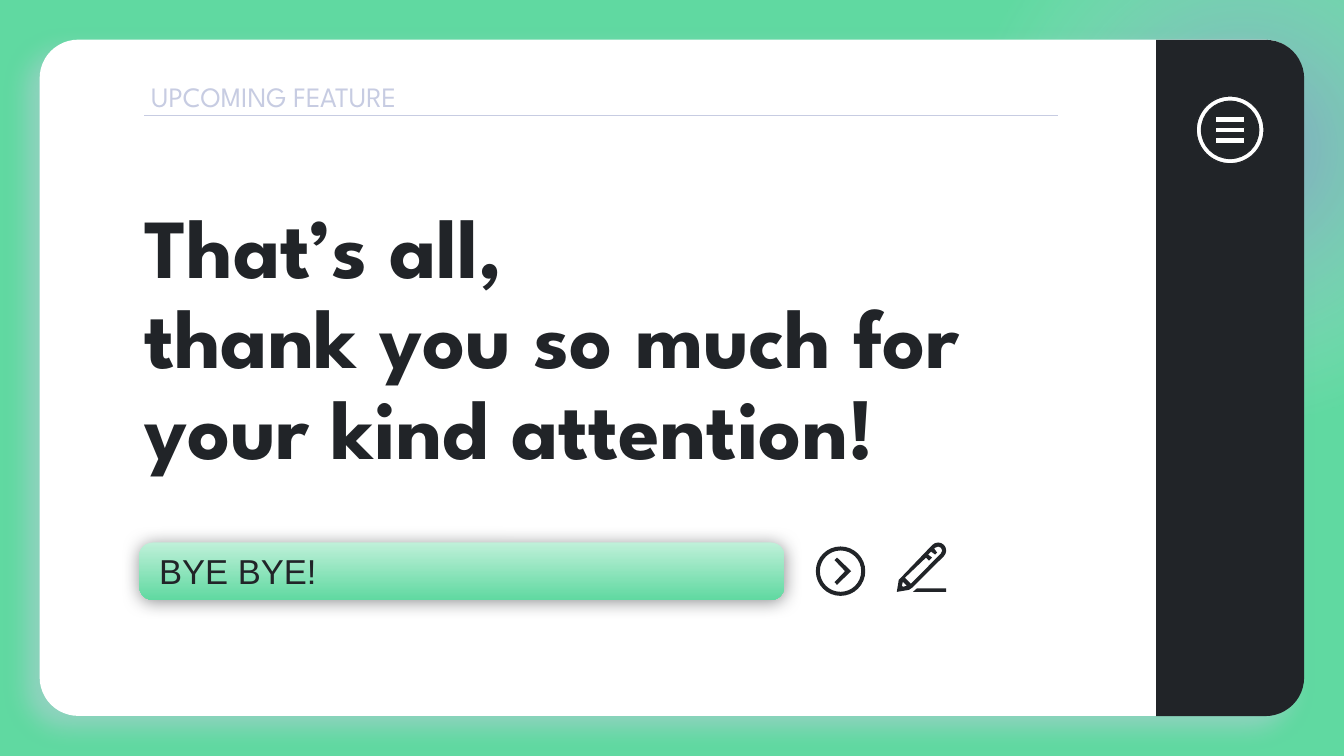
"""Build the closing slide: a white card with thanks, a farewell button and icons."""
from math import cos, radians, sin, tan

from lxml import etree
from pptx import Presentation
from pptx.dml.color import RGBColor
from pptx.enum.shapes import MSO_CONNECTOR, MSO_SHAPE
from pptx.enum.text import MSO_ANCHOR
from pptx.oxml.ns import qn
from pptx.util import Cm, Pt

OVAL, ROUNDED = MSO_SHAPE.OVAL, MSO_SHAPE.ROUNDED_RECTANGLE
TWO_ROUNDED = MSO_SHAPE.ROUND_2_SAME_RECTANGLE
STRAIGHT, TOP = MSO_CONNECTOR.STRAIGHT, MSO_ANCHOR.TOP

GREEN = RGBColor(0x60, 0xD9, 0xA1)
MINT = RGBColor(0xBF, 0xF0, 0xD9)
INK = RGBColor(0x21, 0x24, 0x28)
LAVENDER = RGBColor(0xC7, 0xCC, 0xE2)
PALE = RGBColor(0xE7, 0xE9, 0xF6)
PURPLE = RGBColor(0xA2, 0x64, 0xE3)
WHITE = RGBColor(0xFF, 0xFF, 0xFF)

HEADING, BODY = "League Spartan", "Arial"
ICON_UNIT = Cm(2.54) / 100

TEXTS = [
    {"box": (3.3, 5.18, 22.1, 7.7), "insets": (0.33, 0, 0.33, 0.33),
     "lines": ["That’s all,", "thank you so much for your kind attention!"],
     "font": HEADING, "size": 60, "color": INK, "bold": True, "spacing": 0.9},
    {"box": (3.81, 2.01, 16.99, 0.86), "insets": (0, 0, 0.33, 0),
     "lines": ["UPCOMING FEATURE"],
     "font": HEADING, "size": 20, "color": LAVENDER, "bold": False, "spacing": 1.0},
    {"box": (3.51, 13.87, 15.95, 1.07), "insets": (0.5, 0, 0.33, 0.33),
     "lines": ["BYE BYE!"],
     "font": BODY, "size": 24.7, "color": INK, "bold": False, "spacing": 1.0},
]


def arc(x, y, radius, angles=(0, 90, 180, 270, 360)):
    """Return a start point and one Bézier curve per step between the angles."""
    def spot(angle, pull=0):
        turn = radians(angle)
        return (x + radius * (cos(turn) - pull * sin(turn)),
                y + radius * (sin(turn) + pull * cos(turn)))

    segments = [[spot(angles[0])]]
    for start, end in zip(angles, angles[1:]):
        pull = 4 / 3 * tan(radians(end - start) / 4)
        segments.append([spot(start, pull), spot(end, -pull), spot(end)])
    return segments


def lines(*points):
    """Return one straight segment per point."""
    return [[point] for point in points]


def bar(left, top, right, bottom):
    """Return the corners of a rectangle."""
    return lines((left, top), (right, top), (right, bottom), (left, bottom))


CAP = (225, 270, 360, 405)
PENCIL = [
    arc(41, 8, 8, CAP) + lines((15, 45), (12, 47), (0, 49), (2, 37), (5, 34)),
    arc(41, 8, 4, CAP) + lines((14, 41), (8, 35), (29, 15), (32, 18), (35, 15),
                               (31, 12), (34, 9), (38, 12), (40, 10), (37, 6)),
    lines((6, 39), (10, 43), (6, 44), (5, 43)),
    lines((20, 45.5), (16, 49), (49, 49), (49, 45.5)),
]
NEXT = [
    arc(24.5, 24.5, 24.5), arc(24.5, 24.5, 20.5),
    lines((21, 11), (35, 24.5), (21, 38), (18.5, 35.5), (29, 24.5), (18.5, 13.5)),
]
MENU = [arc(33.5, 34, 33.5), arc(33.5, 34, 28.5)] + [
    bar(19, top, 48, top + 5.5) for top in (20.8, 31.3, 41.8)]
ICONS = [(PENCIL, 22.6, 13.67, INK, None), (NEXT, 20.56, 13.77, INK, None),
         (MENU, 30.15, 2.41, WHITE, INK)]


def add_color(parent, color, opacity):
    """Append a colour with opacity in percent."""
    element = etree.SubElement(parent, qn("a:srgbClr"), val=str(color))
    if opacity < 100:
        etree.SubElement(element, qn("a:alpha"), val=str(opacity * 1000))


def set_gradient(shape, stops, angle=None):
    """Fill with a linear gradient, or a circular one when no angle is given."""
    shape.fill.background()
    gradient = etree.Element(qn("a:gradFill"), rotWithShape="1")
    stop_list = etree.SubElement(gradient, qn("a:gsLst"))
    for position, color, opacity in stops:
        stop = etree.SubElement(stop_list, qn("a:gs"), pos=str(position * 1000))
        add_color(stop, color, opacity)
    if angle is None:
        circle = etree.SubElement(gradient, qn("a:path"), {"path": "circle"})
        center = dict.fromkeys("ltrb", "50000")
        etree.SubElement(circle, qn("a:fillToRect"), center)
    else:
        etree.SubElement(gradient, qn("a:lin"), ang=str(angle * 60000), scaled="0")
    properties = shape.element.spPr
    properties.replace(properties.find(qn("a:noFill")), gradient)


def set_shadow(shape, color, opacity, blur, distance, direction):
    """Give the shape an outer shadow."""
    effects = shape.element.spPr.find(qn("a:effectLst"))
    shadow = etree.SubElement(
        effects, qn("a:outerShdw"), blurRad=str(Pt(blur)), dist=str(Pt(distance)),
        dir=str(direction * 60000), algn="ctr", rotWithShape="0")
    add_color(shadow, color, opacity)


def add_panel(slide, kind, box, adjustments=(), color=None):
    """Add a preset shape without outline."""
    shape = slide.shapes.add_shape(kind, *map(Cm, box))
    for index, value in enumerate(adjustments):
        shape.adjustments[index] = value
    if color is not None:
        shape.fill.solid()
        shape.fill.fore_color.rgb = color
    shape.line.fill.background()
    shape.shadow.inherit = False
    return shape


def add_text(slide, text):
    """Add a text box from its description."""
    frame = slide.shapes.add_textbox(*map(Cm, text["box"])).text_frame
    frame.word_wrap = True
    frame.vertical_anchor = TOP
    (frame.margin_left, frame.margin_top,
     frame.margin_right, frame.margin_bottom) = map(Cm, text["insets"])
    paragraph = frame.paragraphs[0]
    paragraph.line_spacing = text["spacing"]
    for index, line in enumerate(text["lines"]):
        if index:
            paragraph.add_line_break()
        run = paragraph.add_run()
        run.text = line
        run.font.name = text["font"]
        run.font.size = Pt(text["size"])
        run.font.bold = text["bold"]
        run.font.color.rgb = text["color"]


def add_icon(slide, contours, left, top, color, outline):
    """Draw the contours as one freeform, turning point triples into curves."""
    scaled = [[(x * ICON_UNIT, y * ICON_UNIT) for segment in contour
               for x, y in segment] for contour in contours]
    builder = slide.shapes.build_freeform(*scaled[0][0])
    for index, points in enumerate(scaled):
        if index:
            builder.move_to(*points[0])
        builder.add_line_segments(points[1:], close=True)
    shape = builder.convert_to_shape(Cm(left), Cm(top))
    steps = iter(list(next(shape.element.spPr.iter(qn("a:path")))))
    for contour in contours:
        for segment in contour:
            group = [next(steps) for _ in segment]
            if len(group) == 3:
                curve = etree.Element(qn("a:cubicBezTo"))
                group[0].addprevious(curve)
                for step in group:
                    curve.append(step[0])
                    step.getparent().remove(step)
        next(steps)
    shape.fill.solid()
    shape.fill.fore_color.rgb = color
    if outline is None:
        shape.line.fill.background()
    else:
        shape.line.color.rgb = outline
        shape.line.width = Pt(0.75)
    shape.shadow.inherit = False


presentation = Presentation()
presentation.slide_width, presentation.slide_height = Cm(33.87), Cm(19.05)
slide = presentation.slides.add_slide(presentation.slide_layouts[6])
slide.background.fill.solid()
slide.background.fill.fore_color.rgb = GREEN

halo = add_panel(slide, OVAL, (23.44, -4.14, 15.77, 15.77))
set_gradient(halo, [(0, PURPLE, 49), (62, PALE, 0), (100, WHITE, 0)])
card = add_panel(slide, ROUNDED, (1, 1, 31.85, 17.04), [0.057], WHITE)
set_shadow(card, LAVENDER, 47, 16.9, 12, 137)
sidebar = add_panel(slide, TWO_ROUNDED, (22.48, 7.66, 17.04, 3.73), [0.261, 0], INK)
sidebar.rotation = 90
button = add_panel(slide, ROUNDED, (3.51, 13.67, 16.26, 1.45), [0.238])
set_gradient(button, [(0, MINT, 100), (100, GREEN, 100)], 90)
set_shadow(button, INK, 50, 12.4, 0.8, 90)

for icon in ICONS:
    add_icon(slide, *icon)
rule = slide.shapes.add_connector(STRAIGHT, Cm(3.63), Cm(2.92), Cm(26.67), Cm(2.92))
rule.line.color.rgb = LAVENDER
rule.line.width = Pt(0.75)
etree.SubElement(rule.element.spPr, qn("a:effectLst"))
for text in TEXTS:
    add_text(slide, text)
presentation.save("out.pptx")
